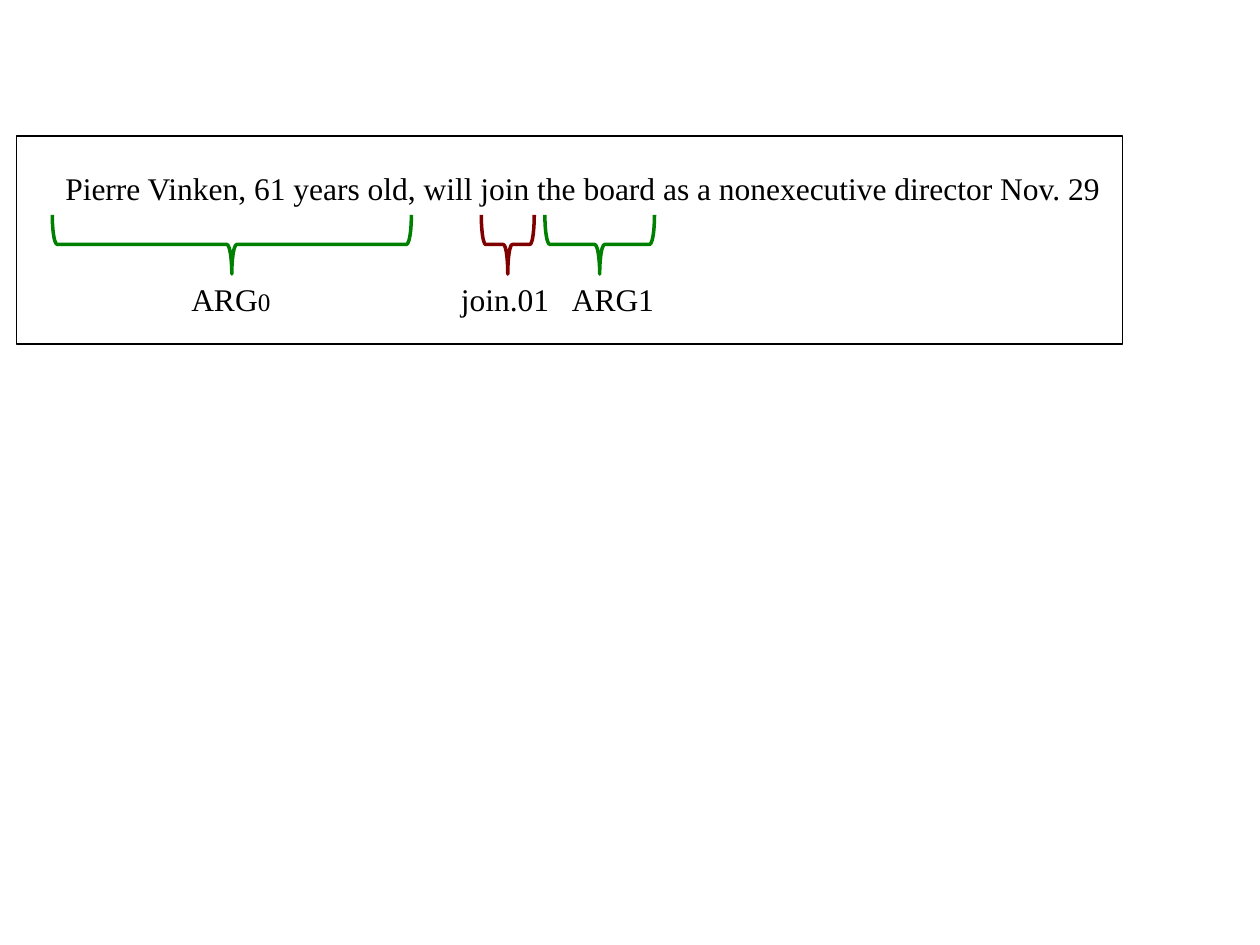
from pptx import Presentation
from pptx.dml.color import RGBColor
from pptx.enum.shapes import MSO_SHAPE
from pptx.enum.text import MSO_AUTO_SIZE
from pptx.util import Inches, Pt


def color(value):
    return RGBColor.from_string(value)


class RoleDiagram:
    font_name = "Times New Roman"
    font_size = Pt(18)
    ink = "000000"
    argument = "008000"
    predicate = "800000"
    brace_depth = 0.47
    brace_middle = 1.94

    def __init__(self, slide):
        self.slide = slide

    def text(self, words, left, top, width, wrap=False, small_caps=""):
        box = self.slide.shapes.add_textbox(
            Inches(left), Inches(top), Inches(width), Inches(0.4)
        )
        frame = box.text_frame
        frame.word_wrap = wrap
        frame.auto_size = MSO_AUTO_SIZE.SHAPE_TO_FIT_TEXT
        para = frame.paragraphs[0]
        para.font.name = self.font_name
        para.font.size = self.font_size
        para.font.color.rgb = color(self.ink)
        para.add_run().text = words
        if small_caps:
            span = para.add_run()
            span.text = small_caps
            span._r.get_or_add_rPr().set("cap", "small")

    def outline(self, kind, left, top, width, height, line, weight):
        shape = self.slide.shapes.add_shape(
            kind, Inches(left), Inches(top), Inches(width), Inches(height)
        )
        shape.shadow.inherit = False
        shape.fill.background()
        shape.line.color.rgb = color(line)
        shape.line.width = Pt(weight)
        return shape

    def brace(self, center, span_width, line):
        brace = self.outline(
            MSO_SHAPE.LEFT_BRACE,
            center - self.brace_depth / 2,
            self.brace_middle - span_width / 2,
            self.brace_depth,
            span_width,
            line,
            2,
        )
        brace.rotation = 270


def main():
    deck = Presentation()
    deck.slide_width = Inches(10)
    deck.slide_height = Inches(7.5)
    diagram = RoleDiagram(deck.slides.add_slide(deck.slide_layouts[6]))

    diagram.text(
        "Pierre Vinken, 61 years old, will join the board "
        "as a nonexecutive director Nov. 29",
        0.42, 1.29, 8.66, wrap=True,
    )
    for center, span_width, line in (
        (1.84, 2.85, diagram.argument),
        (4.76, 0.87, diagram.argument),
        (4.03, 0.42, diagram.predicate),
    ):
        diagram.brace(center, span_width, line)

    for words, left, width, small_caps in (
        ("ARG", 1.42, 0.86, "0"),
        ("ARG1", 4.44, 0.86, ""),
        ("join.01", 3.56, 0.92, ""),
    ):
        diagram.text(words, left, 2.17, width, small_caps=small_caps)

    diagram.outline(MSO_SHAPE.RECTANGLE, 0.13, 1.08, 8.78, 1.65, diagram.ink, 0.75)
    deck.save("out.pptx")


if __name__ == "__main__":
    main()
